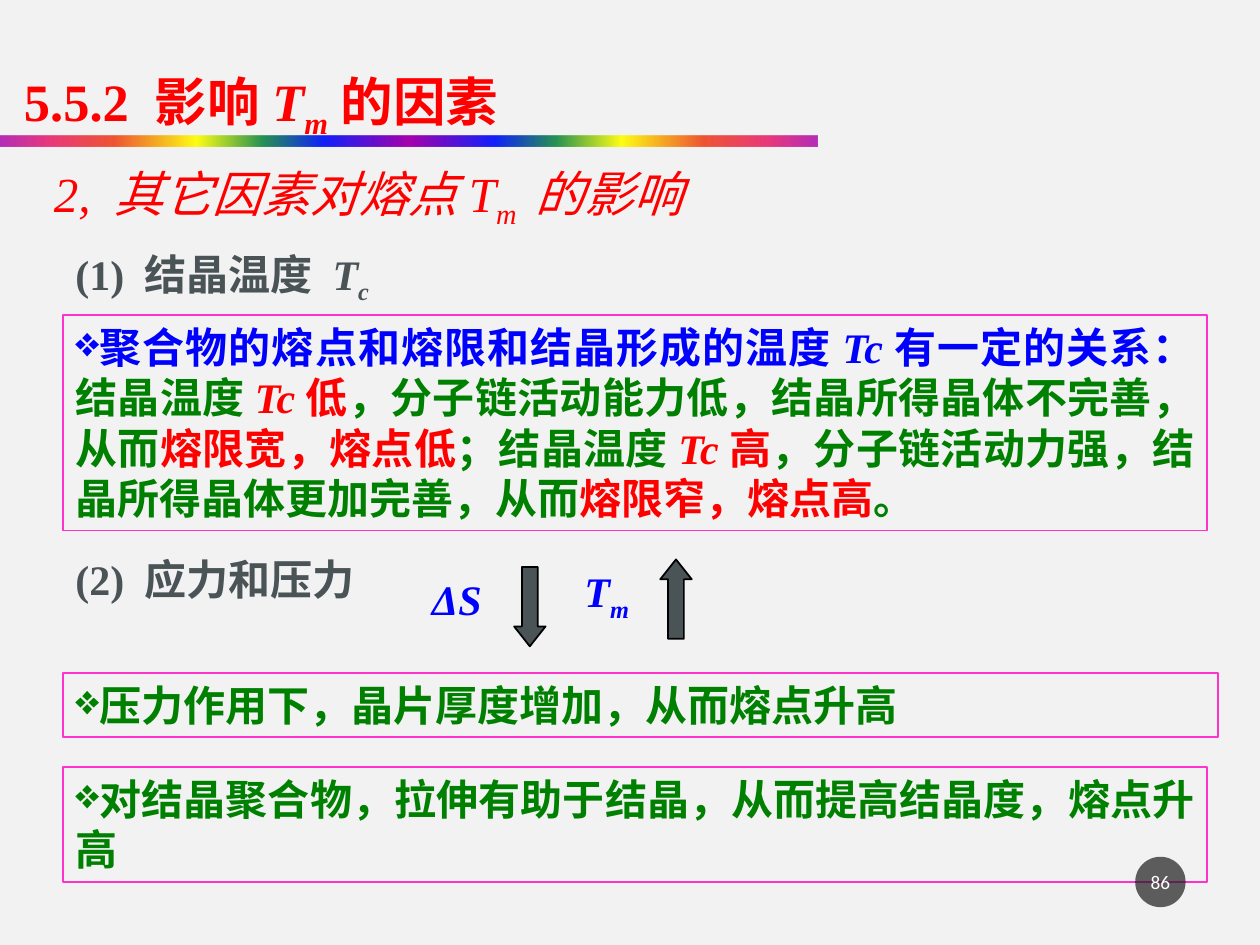
"""Builds the slide on the factors that influence the melting point Tm."""
from dataclasses import dataclass

from lxml import etree
from pptx import Presentation
from pptx import util as u
from pptx.dml.color import RGBColor
from pptx.enum import shapes, text
from pptx.oxml.ns import qn


@dataclass(frozen=True)
class Theme:
    font: str = "Times New Roman"
    number_font: str = "Calibri"
    paper: str = "F2F2F2"
    red: str = "FF0000"
    blue: str = "0000FF"
    green: str = "008000"
    slate: str = "4A5356"
    pink: str = "FF33CC"
    black: str = "000000"
    white: str = "FFFFFF"
    badge: str = "1D1D1D"
    title: int = 30
    heading: int = 28
    body: int = 24
    number: int = 11
    rainbow: tuple = (
        (0, "A603AB", 82), (6, "E81766", 84), (14, "EE3F17", 87),
        (24, "FFFF00", 91), (32, "1A8D48", 94), (39.5, "0819FB", 96),
    )
    rainbow_middle: tuple = (50, "A603AB", 100)


class SlideBuilder:
    """Holds the theme and the current page and adds each kind of element."""

    def __init__(self, deck, theme):
        self.theme = theme
        self.page = deck.slides.add_slide(deck.slide_layouts[5])
        fill = self.page.background.fill
        fill.solid()
        fill.fore_color.rgb = RGBColor.from_string(theme.paper)

    def add_spans(self, box, spans, size, colour, bold=True, font=None,
                  align=text.PP_ALIGN.LEFT, anchor=text.MSO_ANCHOR.TOP, bullet=None):
        """Adds spans of (text, marks, colour); marks are i for italic and s for subscript."""
        frame = box.text_frame
        frame.word_wrap = True
        frame.vertical_anchor = anchor
        para = frame.paragraphs[0]
        para.alignment = align
        if bullet:
            properties = para._p.get_or_add_pPr()
            etree.SubElement(properties, qn("a:buChar"), char=bullet)
        for words, marks, *own_colour in spans:
            span = para.add_run()
            span.text = words
            span.font.name = font or self.theme.font
            span.font.size = u.Pt(size)
            span.font.bold = bold
            span.font.italic = "i" in marks
            span.font.color.rgb = RGBColor.from_string(own_colour[0] if own_colour else colour)
            if "s" in marks:
                span.font._element.set("baseline", "-25000")
        return para

    def title(self, place, spans):
        box = self.page.shapes.title
        box.left, box.top, box.width, box.height = map(u.Inches, place)
        para = self.add_spans(box, spans, self.theme.title, self.theme.red)
        para.line_spacing = 1.3
        box.text_frame.auto_size = text.MSO_AUTO_SIZE.NONE

    def label(self, place, spans, colour, size=None, bold=True):
        box = self.page.shapes.add_textbox(*map(u.Inches, place))
        self.add_spans(box, spans, size or self.theme.body, colour, bold)

    def shape(self, kind, place, fill=None, line=None):
        shape = self.page.shapes.add_shape(kind, *map(u.Inches, place))
        shape.shadow.inherit = False
        if fill:
            shape.fill.solid()
            shape.fill.fore_color.rgb = RGBColor.from_string(fill)
        else:
            shape.fill.background()
        if line:
            shape.line.color.rgb = RGBColor.from_string(line)
            shape.line.width = u.Pt(1)
        else:
            shape.line.fill.background()
        return shape

    def panel(self, place, spans, align=text.PP_ALIGN.JUSTIFY):
        box = self.shape(shapes.MSO_SHAPE.RECTANGLE, place, line=self.theme.pink)
        self.add_spans(box, spans, self.theme.body, self.theme.green, align=align, bullet="❖")

    def arrow(self, kind, left, top):
        arrow = self.shape(kind, (left, top, 0.25, 0.63), self.theme.slate, self.theme.black)
        arrow.adjustments[0] = 0.5
        arrow.adjustments[1] = 0.63

    def rainbow_bar(self, place):
        bar = self.shape(shapes.MSO_SHAPE.RECTANGLE, place)
        bar.fill.gradient()
        bar.fill.gradient_angle = 0
        half = self.theme.rainbow
        mirror = [(100 - position, colour, alpha) for position, colour, alpha in reversed(half)]
        stops = bar._element.spPr.find(qn("a:gradFill")).find(qn("a:gsLst"))
        for stop in list(stops):
            stops.remove(stop)
        for position, colour, alpha in [*half, self.theme.rainbow_middle, *mirror]:
            stop = etree.SubElement(stops, qn("a:gs"), pos=str(int(position * 1000)))
            tone = etree.SubElement(stop, qn("a:srgbClr"), val=colour)
            etree.SubElement(tone, qn("a:alpha"), val=str(alpha * 1000))

    def page_number(self, place, number):
        badge = self.shape(shapes.MSO_SHAPE.OVAL, place, self.theme.badge)
        tone = badge._element.spPr.find(qn("a:solidFill")).find(qn("a:srgbClr"))
        etree.SubElement(tone, qn("a:alpha"), val="70000")
        frame = badge.text_frame
        frame.margin_left = frame.margin_right = u.Inches(0.02)
        self.add_spans(badge, [(number, "")], self.theme.number, self.theme.white, False,
                       self.theme.number_font, text.PP_ALIGN.CENTER, text.MSO_ANCHOR.MIDDLE)


def main():
    deck = Presentation()
    deck.slide_width, deck.slide_height = u.Inches(10), u.Inches(7.5)
    theme = Theme()
    slide = SlideBuilder(deck, theme)
    red, blue, slate = theme.red, theme.blue, theme.slate

    slide.rainbow_bar((0, 1.08, 6.49, 0.08))
    slide.title((0.09, 0.33, 6.16, 0.75),
                [("5.5.2 影响", ""), ("T", "i"), ("m", "is"), ("的因素", "")])
    slide.label((0.33, 1.25, 7.17, 0.57),
                [("2, 其它因素对熔点T", "i"), ("m ", "is"), ("的影响", "i")],
                red, theme.heading, bold=False)

    slide.label((0.5, 1.92, 3.75, 0.5),
                [("(1) 结晶温度 ", ""), ("T", "i"), ("c", "is")], slate)
    slide.panel((0.5, 2.5, 9.08, 1.71), [
        ("聚合物的熔点和熔限和结晶形成的温度", "", blue),
        ("Tc", "i", blue),
        ("有一定的关系：", "", blue),
        ("结晶温度", ""),
        ("Tc", "i", red),
        ("低", "", red),
        ("，分子链活动能力低，结晶所得晶体不完善，从而", ""),
        ("熔限宽，熔点低", "", red),
        ("；结晶温度", ""),
        ("Tc", "i", red),
        ("高", "", red),
        ("，分子链活动力强，结晶所得晶体更加完善，从而", ""),
        ("熔限窄，熔点高", "", red),
        ("。", ""),
    ])

    slide.label((0.5, 4.34, 3.83, 0.5), [("(2) 应力和压力", "")], slate)
    slide.label((3.33, 4.5, 0.92, 0.5), [("ΔS", "i")], blue)
    slide.arrow(shapes.MSO_SHAPE.DOWN_ARROW, 4.08, 4.5)
    slide.label((4.54, 4.44, 0.92, 0.5), [("T", "i"), ("m", "is")], blue)
    slide.arrow(shapes.MSO_SHAPE.UP_ARROW, 5.24, 4.44)
    slide.panel((0.5, 5.34, 9.17, 0.51),
                [("压力作用下，晶片厚度增加，从而熔点升高", "")], text.PP_ALIGN.LEFT)
    slide.panel((0.5, 6.09, 9.08, 0.91),
                [("对结晶聚合物，拉伸有助于结晶，从而提高结晶度，熔点升高", "")])
    slide.page_number((9.01, 6.8, 0.4, 0.4), "86")

    deck.save("out.pptx")


if __name__ == "__main__":
    main()
